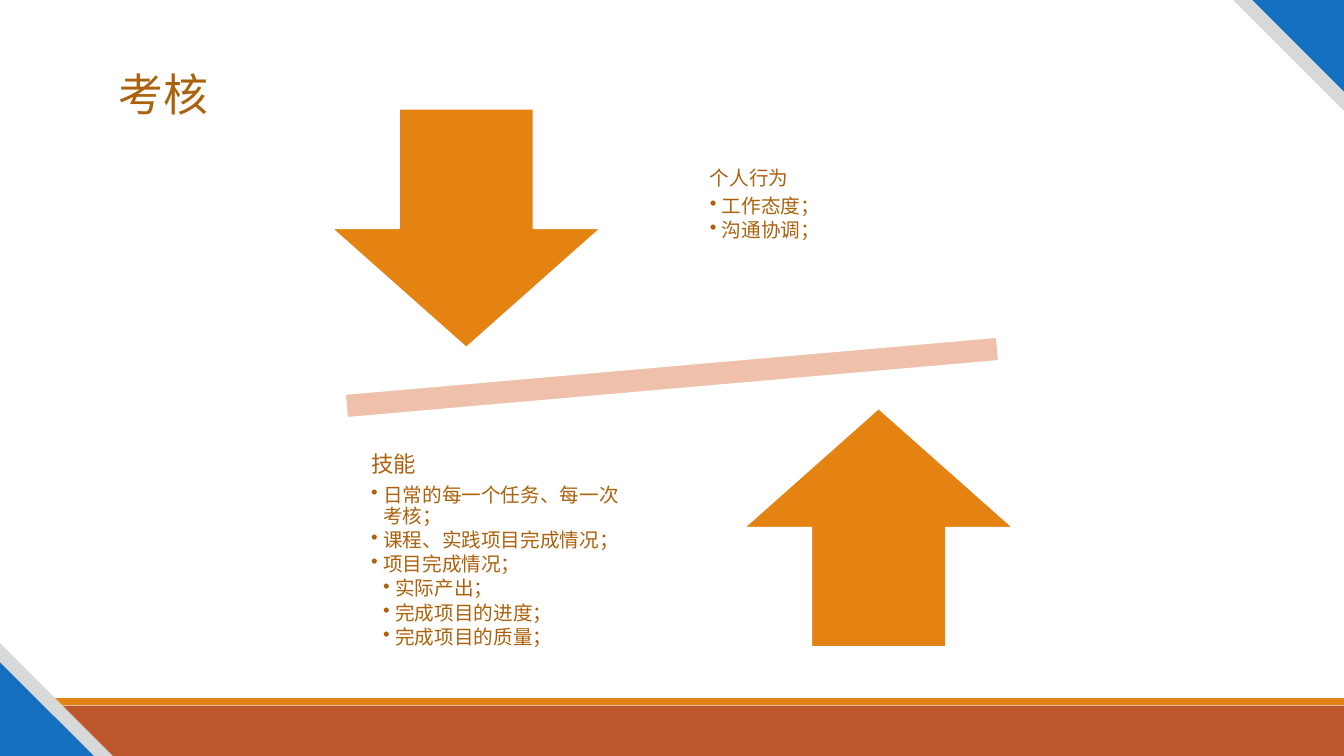
from lxml.etree import SubElement
from pptx import Presentation
from pptx.dml.color import RGBColor
from pptx.enum.shapes import MSO_SHAPE as Preset
from pptx.enum.text import MSO_ANCHOR as Anchor
from pptx.oxml.ns import qn
from pptx.util import Inches, Pt

WHITE = RGBColor(0xFF, 0xFF, 0xFF)
ORANGE = RGBColor(0xE4, 0x83, 0x12)
RUST = RGBColor(0xBD, 0x58, 0x2C)
PEACH = RGBColor(0xEF, 0xC1, 0xAB)
BLUE = RGBColor(0x15, 0x70, 0xC1)
GREY = RGBColor(0xD7, 0xD8, 0xD8)
BROWN = RGBColor(0xAB, 0x62, 0x0D)

WIDTH, HEIGHT = 13.33, 7.5
ARROW_SIZE = (20.03, 31.6)
LABEL_SIZE = (21.3, 33.2)
BULLET_INDENT = 0.12

BEHAVIOUR = [(0, "个人行为"), (1, "工作态度；"), (1, "沟通协调；")]
SKILLS = [
    (0, "技能"),
    (1, "日常的每一个任务、每一次考核；"),
    (1, "课程、实践项目完成情况；"),
    (1, "项目完成情况；"),
    (2, "实际产出；"),
    (2, "完成项目的进度；"),
    (2, "完成项目的质量；"),
]


class SlideBuilder:
    """Places elements by left, top, width and height in percent of the slide."""

    font_name = "Noto Sans CJK SC"
    text_color = BROWN
    bullet_size = 14

    def __init__(self, presentation):
        self.slide = presentation.slides.add_slide(presentation.slide_layouts[6])

    def box(self, left, top, width, height):
        return [Inches(share * length / 100) for share, length in
                ((left, WIDTH), (top, HEIGHT), (width, WIDTH), (height, HEIGHT))]

    def shape(self, preset, area, fill, outlined=False, rotation=0):
        shape = self.slide.shapes.add_shape(preset, *self.box(*area))
        shape.shadow.inherit = False
        shape.rotation = rotation
        shape.fill.solid()
        shape.fill.fore_color.rgb = fill
        if outlined:
            shape.line.color.rgb = WHITE
            shape.line.width = Pt(1.25)
        else:
            shape.line.fill.background()

    def corner(self, inches, fill, top_right):
        width, height = inches / WIDTH * 100, inches / HEIGHT * 100
        area = (100 - width, 0) if top_right else (0, 100 - height)
        self.shape(Preset.RIGHT_TRIANGLE, (*area, width, height), fill,
                   rotation=180 if top_right else 0)

    def text_frame(self, area, anchor):
        text_frame = self.slide.shapes.add_textbox(*self.box(*area)).text_frame
        text_frame.word_wrap = True
        text_frame.vertical_anchor = anchor
        return text_frame

    def format_paragraph(self, paragraph, size):
        paragraph.line_spacing = 0.9
        for run in paragraph.runs:
            run.font.size = Pt(size)
            run.font.name = self.font_name
            run.font.color.rgb = self.text_color
            SubElement(run.font._element, qn("a:ea"), typeface=self.font_name)

    def title(self, text, area, size):
        text_frame = self.text_frame(area, Anchor.TOP)
        text_frame.text = text
        self.format_paragraph(text_frame.paragraphs[0], size)

    def label(self, items, area, heading_size, inset):
        """A heading at level 0, followed by bullets at levels 1 and 2."""
        text_frame = self.text_frame(area, Anchor.MIDDLE)
        text_frame.margin_left = text_frame.margin_right = Inches(inset)
        text_frame.margin_top = text_frame.margin_bottom = Inches(inset)
        text_frame.text = "\n".join(text for _, text in items)
        for (level, _), paragraph in zip(items, text_frame.paragraphs):
            size = self.bullet_size if level else heading_size
            self.format_paragraph(paragraph, size)
            paragraph.space_after = Pt(size * (0.15 if level else 0.35))
            if level:
                self.bullet(paragraph, level)

    def bullet(self, paragraph, level):
        paragraph.level = level
        properties = paragraph._p.get_or_add_pPr()
        properties.set("marL", str(Inches(BULLET_INDENT * level)))
        properties.set("indent", str(-Inches(BULLET_INDENT)))
        SubElement(properties, qn("a:buChar"), char="•")


def main():
    presentation = Presentation()
    presentation.slide_width = Inches(WIDTH)
    presentation.slide_height = Inches(HEIGHT)
    builder = SlideBuilder(presentation)

    builder.shape(Preset.RECTANGLE, (0, 93.33, 100, 6.67), RUST)
    builder.shape(Preset.RECTANGLE, (0, 92.35, 100, 0.93), ORANGE)
    for top_right, outer, inner in ((True, 1.1, 0.91), (False, 1.12, 0.93)):
        builder.corner(outer, GREY, top_right)
        builder.corner(inner, BLUE, top_right)

    builder.title("考核", (8.1, 8.93, 82.22, 25.6), 32)
    builder.shape(Preset.MATH_MINUS, (16.88, 43.2, 66.24, 13.47), PEACH,
                  outlined=True, rotation=355)
    builder.shape(Preset.DOWN_ARROW, (24.68, 14.4, *ARROW_SIZE), ORANGE, outlined=True)
    builder.label(BEHAVIOUR, (51.99, 10.53, *LABEL_SIZE), 14, 0.11)
    builder.shape(Preset.UP_ARROW, (55.36, 54, *ARROW_SIZE), ORANGE, outlined=True)
    builder.label(SKILLS, (26.71, 56.27, *LABEL_SIZE), 16, 0.12)

    presentation.save("out.pptx")


if __name__ == "__main__":
    main()
